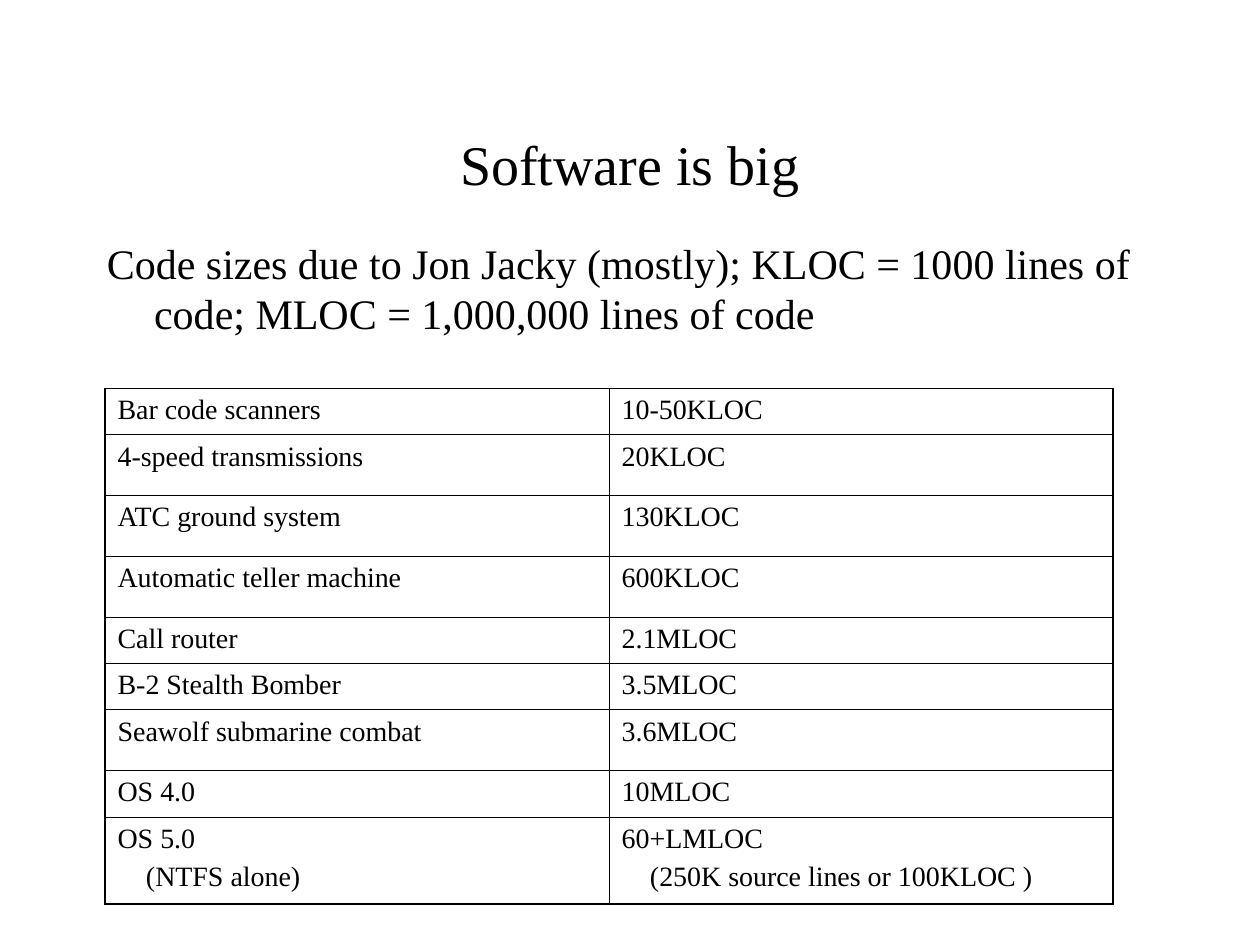
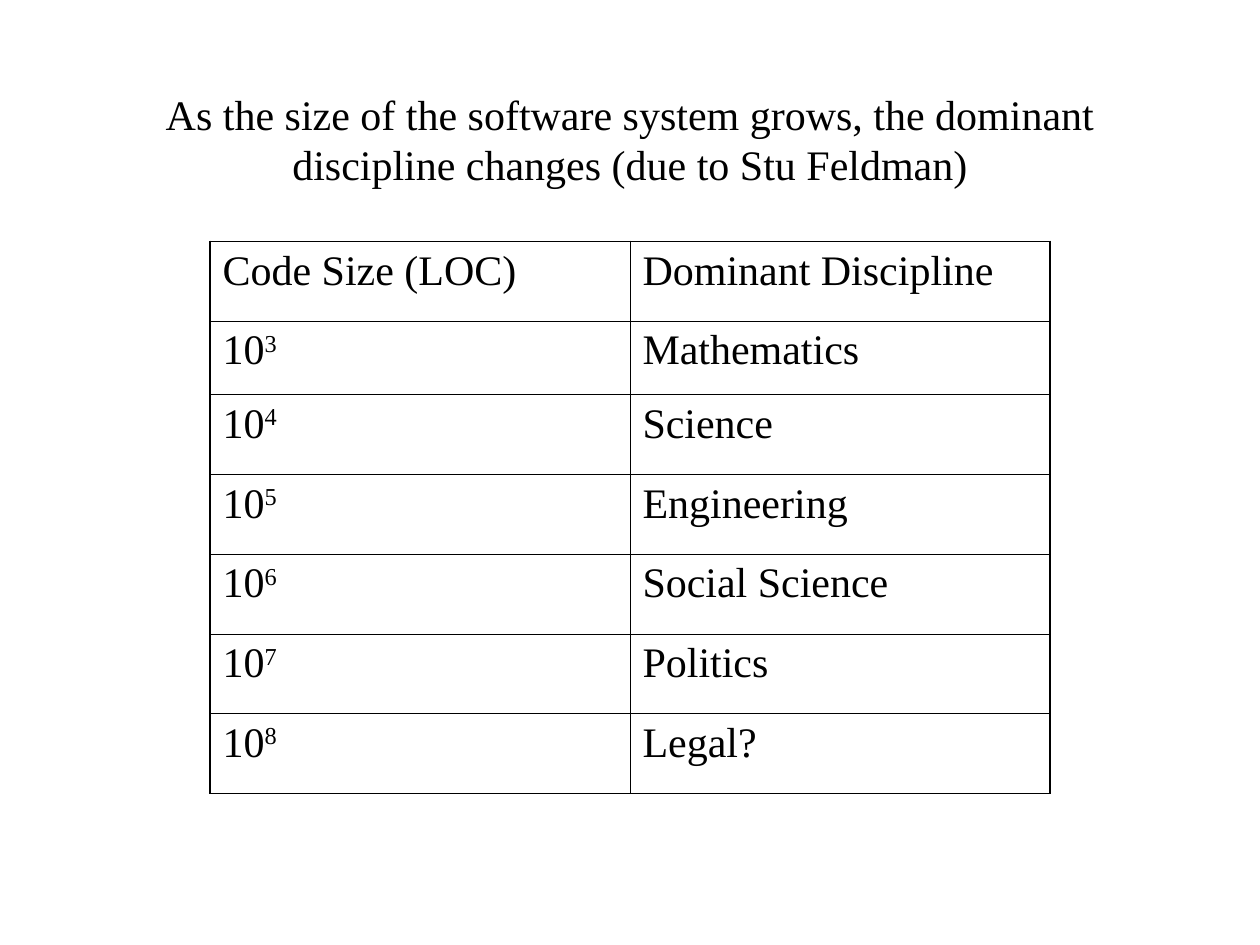
import dataclasses

import lxml.etree
import pptx
import pptx.dml.color
import pptx.enum.text
import pptx.oxml.ns
import pptx.util

PX = pptx.util.Inches(1) // 120
FACE = "Times New Roman"
INK = "000000"
THIN, THICK = 0.45, 1.08
TITLE_AREA = (90, 80, 1020, 150)
INSET_X, INSET_Y = 12, 6
Align = pptx.enum.text.PP_ALIGN
Anchor = pptx.enum.text.MSO_ANCHOR


@dataclasses.dataclass(frozen=True)
class Line:
    text: str
    power: str = ""
    indent: int = 0


@dataclasses.dataclass(frozen=True)
class Row:
    height: int
    cells: tuple[tuple[Line, ...], ...]


@dataclasses.dataclass(frozen=True)
class Grid:
    left: int
    top: int
    column_width: int
    size: int
    gap: int
    rows: list[Row]


def px(length: int) -> int:
    return pptx.util.Emu(length * PX)


def color(value: str) -> pptx.dml.color.RGBColor:
    return pptx.dml.color.RGBColor.from_string(value)


def style_runs(paragraph, size: int) -> None:
    for run in paragraph.runs:
        run.font.name = FACE
        run.font.size = pptx.util.Pt(size)
        run.font.color.rgb = color(INK)


def set_indent(paragraph, margin: int, first: int = 0) -> None:
    properties = paragraph._p.get_or_add_pPr()
    properties.set("marL", str(px(margin)))
    properties.set("indent", str(px(first)))


def add_text(slide, area: tuple[int, int, int, int], text: str, size: int,
             bottom: int = INSET_Y):
    frame = slide.shapes.add_textbox(*map(px, area)).text_frame
    frame.word_wrap = True
    frame.margin_left = frame.margin_right = px(INSET_X)
    frame.margin_top, frame.margin_bottom = px(INSET_Y), px(bottom)
    frame.text = text
    style_runs(frame.paragraphs[0], size)
    return frame


def add_title(slide, text: str, size: int, bottom: int = INSET_Y) -> None:
    frame = add_text(slide, TITLE_AREA, text, size, bottom)
    frame.vertical_anchor = Anchor.MIDDLE
    frame.paragraphs[0].alignment = Align.CENTER


def add_border(cell, side: str, width: float) -> None:
    qn = pptx.oxml.ns.qn
    edge = lxml.etree.SubElement(cell._tc.get_or_add_tcPr(), qn(f"a:ln{side}"),
                                 w=str(pptx.util.Pt(width)))
    fill = lxml.etree.SubElement(edge, qn("a:solidFill"))
    lxml.etree.SubElement(fill, qn("a:srgbClr"), val=INK)


def fill_cell(cell, lines: tuple[Line, ...], size: int, gap: int) -> None:
    cell.margin_left = cell.margin_right = px(INSET_X)
    cell.margin_top = cell.margin_bottom = px(INSET_Y)
    cell.text_frame.text = "\n".join(line.text for line in lines)
    for index, (line, paragraph) in enumerate(zip(lines, cell.text_frame.paragraphs)):
        if index:
            paragraph.space_before = pptx.util.Pt(gap)
        if line.indent:
            set_indent(paragraph, line.indent)
        if line.power:
            exponent = paragraph.add_run()
            exponent.text = line.power
            exponent._r.get_or_add_rPr().set("baseline", "30000")
        style_runs(paragraph, size)


def add_grid(slide, grid: Grid) -> None:
    row_count, column_count = len(grid.rows), len(grid.rows[0].cells)
    table = slide.shapes.add_table(
        row_count, column_count, px(grid.left), px(grid.top),
        px(grid.column_width * column_count),
        px(sum(row.height for row in grid.rows))).table
    table.first_row = table.horz_banding = False
    for r, row in enumerate(grid.rows):
        table.rows[r].height = px(row.height)
        for c, lines in enumerate(row.cells):
            cell = table.cell(r, c)
            fill_cell(cell, lines, grid.size, grid.gap)
            outer = {"L": c == 0, "R": c == column_count - 1,
                     "T": r == 0, "B": r == row_count - 1}
            for side, is_outer in outer.items():
                add_border(cell, side, THICK if is_outer else THIN)
            cell.fill.background()


def plain_row(height: int, left: str, right: str) -> Row:
    return Row(height, ((Line(left),), (Line(right),)))


def power_row(height: int, power: int, discipline: str) -> Row:
    return Row(height, ((Line("10", str(power)),), (Line(discipline),)))


SHORT, TALL = 44, 58
CODE_SIZES = Grid(100, 370, 480, 16, 4, [
    plain_row(SHORT, "Bar code scanners", "10-50KLOC"),
    plain_row(TALL, "4-speed transmissions", "20KLOC"),
    plain_row(TALL, "ATC ground system", "130KLOC"),
    plain_row(TALL, "Automatic teller machine", "600KLOC"),
    plain_row(SHORT, "Call router", "2.1MLOC"),
    plain_row(SHORT, "B-2 Stealth Bomber", "3.5MLOC"),
    plain_row(TALL, "Seawolf submarine combat", "3.6MLOC"),
    plain_row(SHORT, "OS 4.0", "10MLOC"),
    Row(83, ((Line("OS 5.0"), Line("(NTFS alone)", indent=27)),
             (Line("60+LMLOC"),
              Line("(250K source lines or 100KLOC )", indent=27)))),
])

DISCIPLINES = ["Mathematics", "Science", "Engineering", "Social Science",
               "Politics", "Legal?"]
DISCIPLINE_GRID = Grid(200, 230, 400, 24, 6, [
    plain_row(76, "Code Size (LOC)", "Dominant Discipline"),
    *(power_row(70 if power == 3 else 76, power, discipline)
      for power, discipline in enumerate(DISCIPLINES, start=3)),
])


def main() -> None:
    deck = pptx.Presentation()
    deck.slide_width, deck.slide_height = px(1200), px(900)
    blank = deck.slide_layouts[6]

    code_sizes = deck.slides.add_slide(blank)
    add_title(code_sizes, "Software is big", 32)
    credit = add_text(code_sizes, (90, 220, 1020, 580),
                      "Code sizes due to Jon Jacky (mostly); KLOC = 1000 lines of "
                      "code; MLOC = 1,000,000 lines of code", 24)
    set_indent(credit.paragraphs[0], 45, -45)
    add_grid(code_sizes, CODE_SIZES)

    disciplines = deck.slides.add_slide(blank)
    add_title(disciplines,
              "As the size of the software system grows, the dominant "
              "discipline changes (due to Stu Feldman)", 24, bottom=52)
    add_grid(disciplines, DISCIPLINE_GRID)

    deck.save("out.pptx")


if __name__ == "__main__":
    main()
